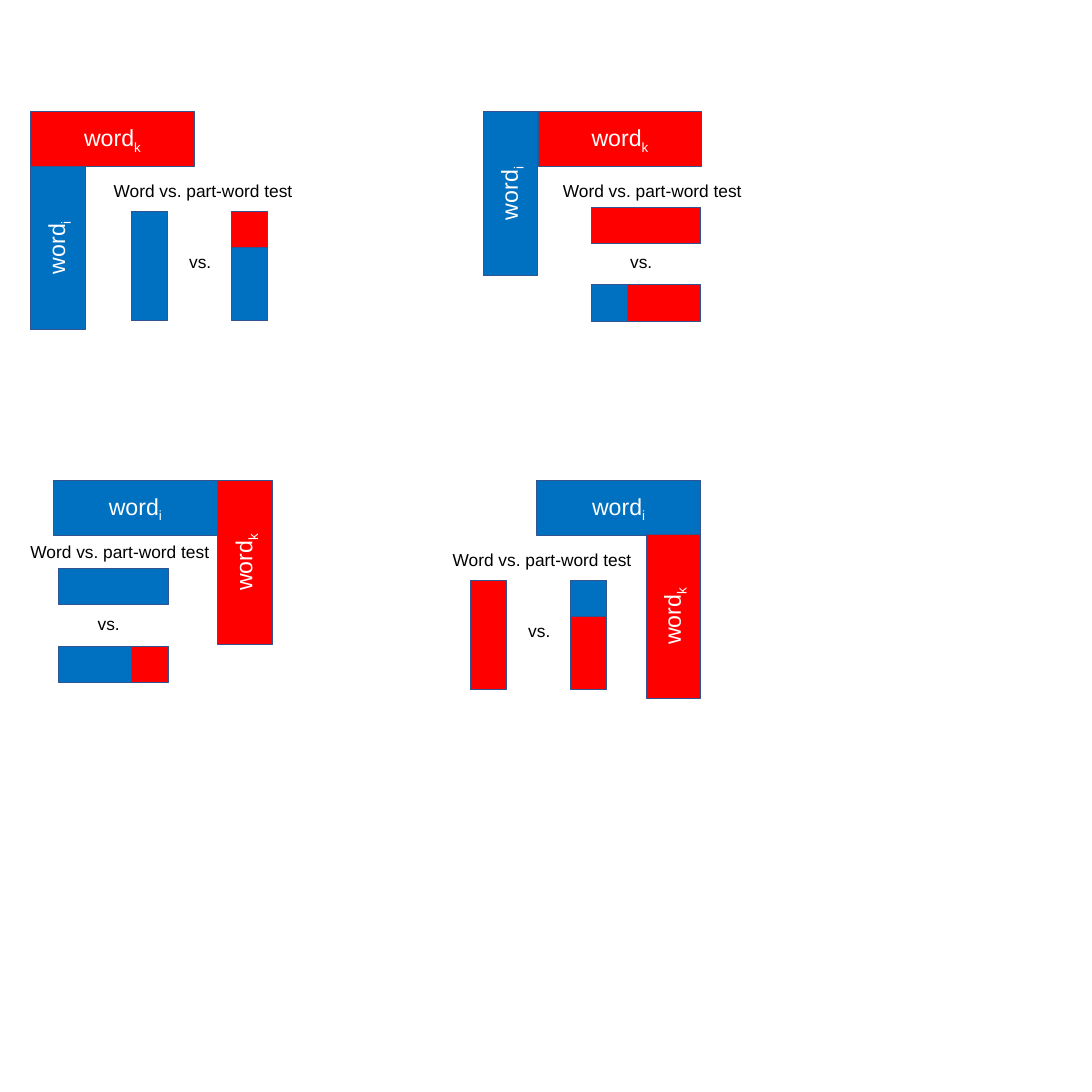
from pptx import Presentation
from pptx.dml.color import RGBColor
from pptx.enum.shapes import MSO_SHAPE
from pptx.enum.text import MSO_ANCHOR, MSO_AUTO_SIZE, PP_ALIGN
from pptx.util import Inches, Pt

SIDE = 15.75
WORD_UNIT = SIDE / 20  # a word is three units long and one unit thick
TEST_UNIT = SIDE / 30
BLUE, RED, OUTLINE = "0070C0", "FF0000", "325491"

presentation = Presentation()
presentation.slide_width = presentation.slide_height = Inches(SIDE)
slide = presentation.slides.add_slide(presentation.slide_layouts[6])


def add_bar(left, top, unit, length, upright, colour):
    """Add a bar one unit thick and `length` units long."""
    width, height = (unit, unit * length) if upright else (unit * length, unit)
    shape = slide.shapes.add_shape(
        MSO_SHAPE.RECTANGLE, Inches(left), Inches(top), Inches(width), Inches(height))
    shape.shadow.inherit = False
    shape.fill.solid()
    shape.fill.fore_color.rgb = RGBColor.from_string(colour)
    shape.line.color.rgb = RGBColor.from_string(OUTLINE)
    shape.line.width = Pt(1)
    return shape


def add_label(left, top, width, text):
    frame = slide.shapes.add_textbox(
        Inches(left), Inches(top), Inches(width), Inches(0.4)).text_frame
    frame.word_wrap = False
    frame.auto_size = MSO_AUTO_SIZE.SHAPE_TO_FIT_TEXT
    paragraph = frame.paragraphs[0]
    paragraph.text = text
    paragraph.font.name = "Arial"
    paragraph.font.size = Pt(18)
    paragraph.font.color.rgb = RGBColor.from_string("000000")


# Each panel: words as (subscript, colour, left, top, upright), caption corner,
# tests' corner, tests upright, colour of the whole word, part-word pieces
panels = [
    ([("i", BLUE, 0.44, 2.39, True), ("k", RED, 0.44, 1.61, False)],
     (1.54, 2.55), (1.89, 3.05), True, BLUE, [(RED, 1), (BLUE, 2)]),
    ([("i", BLUE, 6.97, 1.61, True), ("k", RED, 7.76, 1.61, False)],
     (8.02, 2.55), (8.53, 2.99), False, RED, [(BLUE, 1), (RED, 2)]),
    ([("i", BLUE, 0.77, 6.93, False), ("k", RED, 3.14, 6.93, True)],
     (0.34, 7.76), (0.85, 8.2), False, BLUE, [(BLUE, 2), (RED, 1)]),
    ([("i", BLUE, 7.74, 6.93, False), ("k", RED, 9.32, 7.71, True)],
     (6.43, 7.87), (6.78, 8.37), True, RED, [(BLUE, 1), (RED, 2)]),
]

for words, caption, (left, top), upright, whole_colour, pieces in panels:
    for subscript, colour, word_left, word_top, word_upright in words:
        frame = add_bar(word_left, word_top, WORD_UNIT, 3, word_upright, colour).text_frame
        frame.vertical_anchor = MSO_ANCHOR.MIDDLE
        if word_upright:
            frame._txBody.bodyPr.set("vert", "vert270")
        paragraph = frame.paragraphs[0]
        paragraph.alignment = PP_ALIGN.CENTER
        paragraph.font.name = "Arial"
        paragraph.font.size = Pt(24)
        paragraph.font.color.rgb = RGBColor.from_string("FFFFFF")
        paragraph.add_run().text = "word"
        run = paragraph.add_run()
        run.text = subscript
        run.font._element.set("baseline", "-25000")

    add_label(*caption, 2.81, "Word vs. part-word test")
    add_bar(left, top, TEST_UNIT, 3, upright, whole_colour)
    versus_x, versus_y = (0.74, 0.53) if upright else (0.46, 0.59)
    add_label(left + versus_x, top + versus_y, 0.52, "vs.")

    piece_left, piece_top = (left + 1.45, top) if upright else (left, top + 1.12)
    for colour, length in pieces:
        add_bar(piece_left, piece_top, TEST_UNIT, length, upright, colour)
        if upright:
            piece_top += TEST_UNIT * length
        else:
            piece_left += TEST_UNIT * length

presentation.save("out.pptx")
